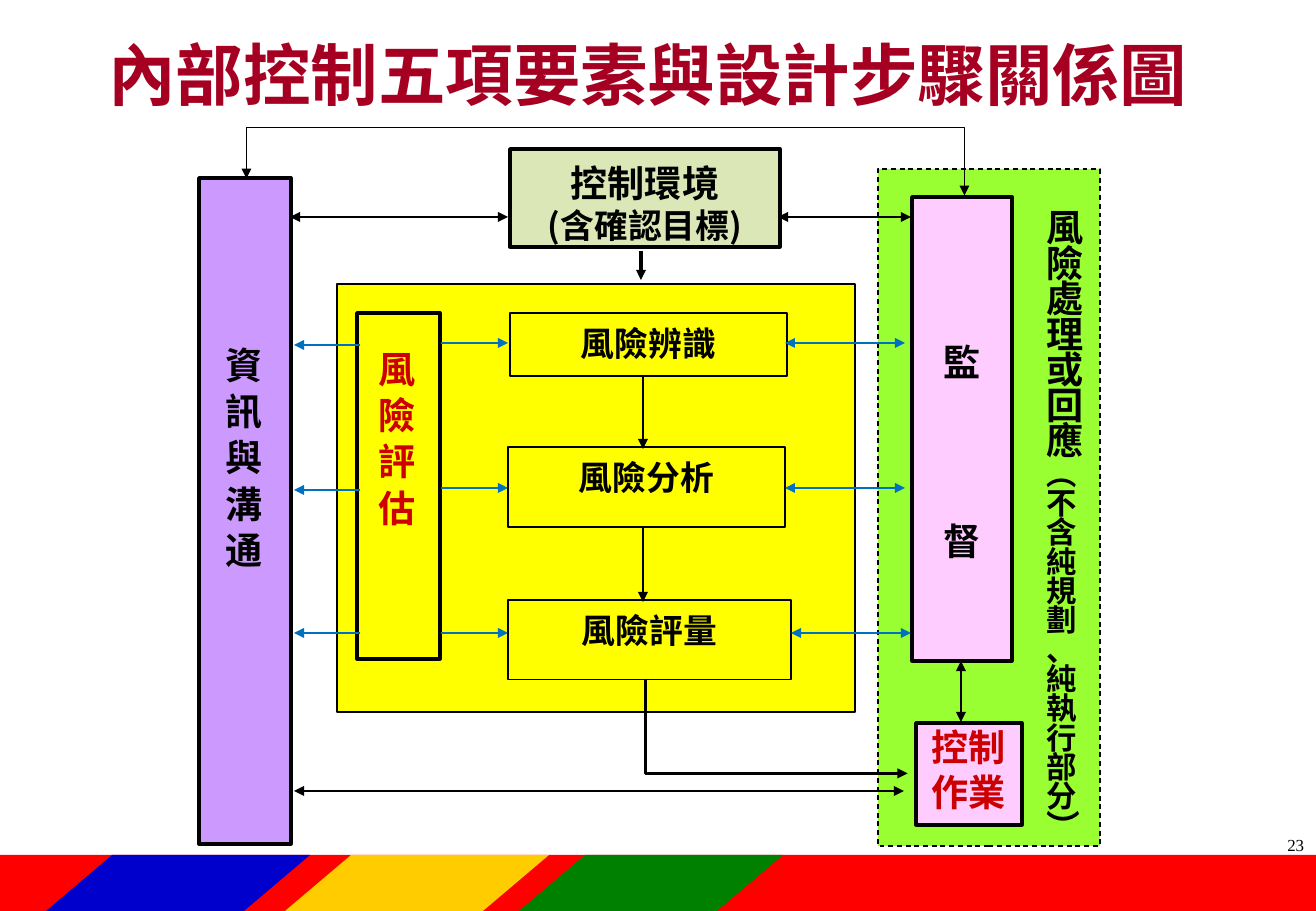
"""Build the slide on the five elements of internal control and their design steps."""
from lxml import etree
from pptx import Presentation
from pptx.dml.color import RGBColor
from pptx.enum.dml import MSO_LINE
from pptx.enum.shapes import MSO_CONNECTOR, MSO_SHAPE
from pptx.enum.text import MSO_ANCHOR, PP_ALIGN
from pptx.oxml.ns import qn
from pptx.util import Pt

PIXEL = 7526
RECTANGLE, PARALLELOGRAM = MSO_SHAPE.RECTANGLE, MSO_SHAPE.PARALLELOGRAM
STRAIGHT, ELBOW = MSO_CONNECTOR.STRAIGHT, MSO_CONNECTOR.ELBOW
LEFT, CENTER, RIGHT = PP_ALIGN.LEFT, PP_ALIGN.CENTER, PP_ALIGN.RIGHT
TOP, MIDDLE = MSO_ANCHOR.TOP, MSO_ANCHOR.MIDDLE
DASH = MSO_LINE.DASH
CHINESE_FONT, NUMBER_FONT = "Noto Sans CJK SC", "Times New Roman"
COLORS = {
    "black": "000000", "title": "A50021", "label red": "CC0000", "arrow blue": "0070C0",
    "red": "FF0000", "gold": "FFCC00", "green": "008000", "blue": "0000CC",
    "yellow": "FFFF00", "sage": "DBE7B6", "lime": "99FF33", "violet": "CC99FF", "pink": "FFCCFF",
}


def write_text(shape, paragraphs, color="black", font=CHINESE_FONT, bold=True, align=CENTER,
               anchor=TOP, insets=(12, 6, 12, 6), vertical=False, space_before=0):
    """Fill a shape with (text, size, line height) paragraphs; a height of 0 means single."""
    frame = shape.text_frame
    frame.word_wrap = True
    frame.vertical_anchor = anchor
    frame.margin_left, frame.margin_top, frame.margin_right, frame.margin_bottom = [
        inset * PIXEL for inset in insets]
    if vertical:
        frame._txBody.bodyPr.set("vert", "eaVert")
    for index, (text, size, line_height) in enumerate(paragraphs):
        paragraph = frame.add_paragraph() if index else frame.paragraphs[0]
        paragraph.alignment = align
        paragraph.space_before = Pt(space_before if index else 0)
        paragraph.line_spacing = Pt(line_height) if line_height else 1.0
        run = paragraph.add_run()
        run.text = text
        run.font.size, run.font.bold, run.font.name = Pt(size), bold, font
        run.font.color.rgb = RGBColor.from_string(COLORS[color])
        etree.SubElement(run._r.get_or_add_rPr(), qn("a:ea"), typeface=font)


def add_arrow(start, end, color="black", width=1, heads=("headEnd", "tailEnd"), kind=STRAIGHT):
    """Draw a connector with triangles at the named ends."""
    connector = slide.shapes.add_connector(kind, *[value * PIXEL for value in (*start, *end)])
    connector.line.color.rgb = RGBColor.from_string(COLORS[color])
    connector.line.width = Pt(width)
    line = connector.line._get_or_add_ln()
    for head in heads:
        etree.SubElement(line, qn(f"a:{head}"), type="triangle")
    etree.SubElement(connector._element.spPr, qn("a:effectLst"))
    return connector


presentation = Presentation()
presentation.slide_width, presentation.slide_height = 1316 * PIXEL, 911 * PIXEL
slide = presentation.slides.add_slide(presentation.slide_layouts[5])

title = slide.shapes.title
title.left, title.top, title.width, title.height = [value * PIXEL for value in (17, 26, 1262, 94)]
write_text(title, [("內部控制五項要素與設計步驟關係圖", 40, 0)], color="title", anchor=MIDDLE)

boxes = {}
for name, kind, left, top, width, height, fill, line_width in [
    ("footer", RECTANGLE, 0, 855, 1316, 56, "red", 0),
    ("gold band", PARALLELOGRAM, 285, 855, 264, 56, "gold", 0),
    ("green band", PARALLELOGRAM, 519, 855, 264, 56, "green", 0),
    ("blue band", PARALLELOGRAM, 46, 855, 264, 56, "blue", 0),
    ("assessment area", RECTANGLE, 337, 284, 518, 428, "yellow", 0.75),
    ("environment", RECTANGLE, 510, 149, 270, 98, "sage", 2),
    ("treatment area", RECTANGLE, 878, 169, 222, 677, "lime", 0.75),
    ("information", RECTANGLE, 199, 178, 92, 666, "violet", 2),
    ("assessment", RECTANGLE, 357, 313, 83, 346, None, 2),
    ("風險辨識", RECTANGLE, 510, 313, 277, 63, None, 0.75),
    ("風險分析", RECTANGLE, 508, 447, 277, 80, None, 0.75),
    ("風險評量", RECTANGLE, 508, 600, 283, 80, None, 0.75),
    ("monitoring", RECTANGLE, 912, 197, 100, 464, "pink", 2),
    ("activities", RECTANGLE, 916, 723, 106, 102, "pink", 2),
]:
    box = slide.shapes.add_shape(kind, *[value * PIXEL for value in (left, top, width, height)])
    box.shadow.inherit = False
    if kind == PARALLELOGRAM:
        box.adjustments[0] = 1.18
    if fill:
        box.fill.solid()
        box.fill.fore_color.rgb = RGBColor.from_string(COLORS[fill])
    else:
        box.fill.background()
    if line_width:
        box.line.color.rgb = RGBColor.from_string(COLORS["black"])
        box.line.width = Pt(line_width)
    else:
        box.line.fill.background()
    boxes[name] = box
boxes["treatment area"].line.dash_style = DASH

write_text(boxes["environment"], [("控制環境", 22, 27), ("(含確認目標)", 20, 24)],
           insets=(12, 10, 12, 6))
write_text(boxes["monitoring"], [("監", 22, 27), ("督", 22, 27)],
           insets=(12, 141, 12, 6), space_before=79)
write_text(boxes["activities"], [("控制", 22, 27), ("作業", 22, 27)],
           color="label red", insets=(0, 0, 0, 0))
for step in ("風險辨識", "風險分析", "風險評量"):
    write_text(boxes[step], [(step, 20, 26)])

for text, color, left, top, width, height in [
    ("資 訊 與 溝 通", "black", 202, 347, 64, 304),
    ("風 險 評 估", "label red", 367, 351, 52, 289),
]:
    label = slide.shapes.add_textbox(*[value * PIXEL for value in (left, top, width, height)])
    write_text(label, [(text, 22, 27)], color=color, align=LEFT, insets=(0, 0, 0, 0), vertical=True)

treatment = slide.shapes.add_textbox(*[value * PIXEL for value in (1035, 208, 77, 620)])
treatment_lines = [(text, 22, 21) for text in ("風", "險", "處", "理或回應")]
treatment_lines += [(text, 18, 17.4) for text in ("︵不含純", "規劃", "、純執行", "部分")]
write_text(treatment, treatment_lines + [("︶", 20, 19)], align=LEFT)

number = slide.shapes.add_textbox(*[value * PIXEL for value in (1010, 829, 306, 61)])
write_text(number, [("23", 10, 0)], font=NUMBER_FONT, bold=False, align=RIGHT)

for information_y, step_y, step_right, monitoring_left in [
    (345, 343, 785, 905), (490, 488, 785, 905), (633, 633, 791, 911),
]:
    add_arrow((294, information_y), (360, information_y), "arrow blue", heads=["headEnd"])
    add_arrow((441, step_y), (508, step_y), "arrow blue", heads=["tailEnd"])
    add_arrow((step_right, step_y), (monitoring_left, step_y), "arrow blue")

for start, end in [
    ((290, 217), (508, 217)), ((778, 217), (911, 217)),
    ((294, 791), (904, 791)), ((961, 661), (961, 722)),
]:
    add_arrow(start, end)

for x, top, bottom, width in [(641, 251, 280, 2), (643, 376, 449, 1), (643, 528, 602, 1)]:
    add_arrow((x, top), (x, bottom), width=width, heads=["tailEnd"])

to_activities = add_arrow((730, 596), (823, 858), width=2, heads=["tailEnd"], kind=ELBOW)
to_activities._element.spPr.find(qn("a:prstGeom")).set("prst", "bentConnector2")
to_monitoring = add_arrow((597, -172), (614, 546), kind=ELBOW)
bend = to_monitoring._element.spPr.find(qn("a:prstGeom")).find(qn("a:avLst"))
etree.SubElement(bend, qn("a:gd"), name="adj1", fmla="val -300000")
for connector, degrees, flip in [(to_activities, 270, "flipH"), (to_monitoring, 90, "flipV")]:
    transform = connector._element.spPr.find(qn("a:xfrm"))
    transform.set("rot", str(degrees * 60000))
    transform.set(flip, "1")

presentation.save("out.pptx")
